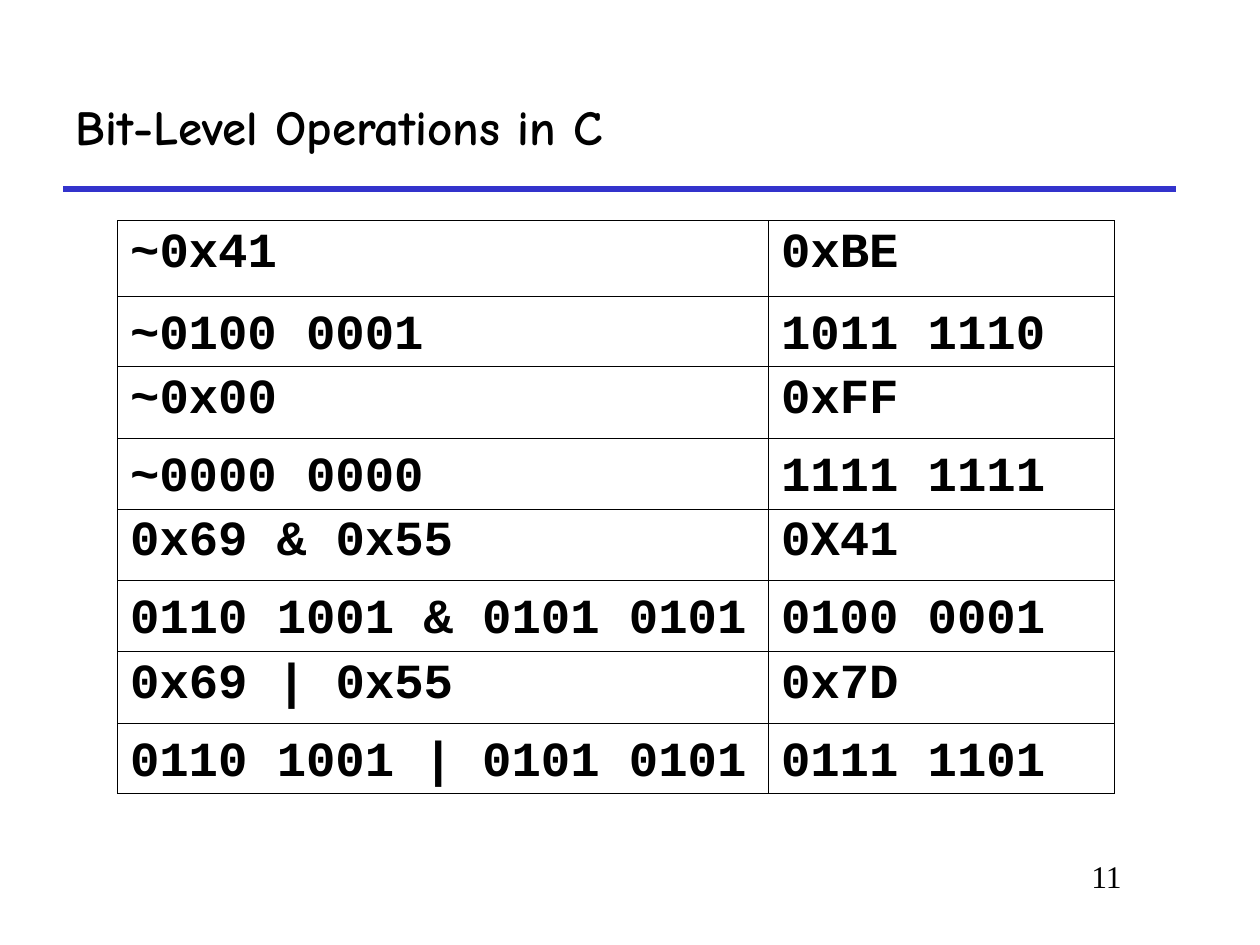
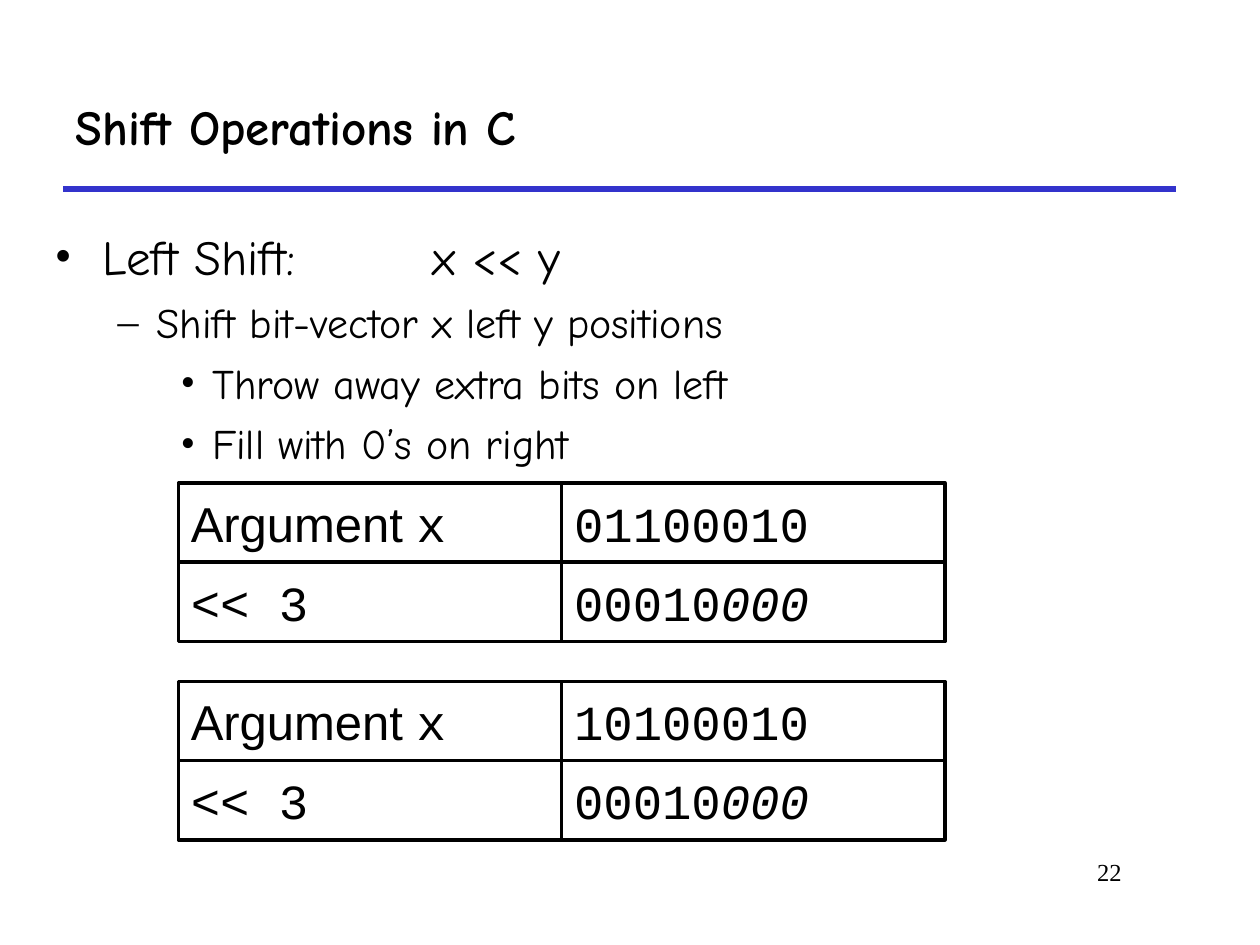
from dataclasses import dataclass

from lxml import etree
from pptx import Presentation
from pptx import util as u
from pptx.dml.color import RGBColor
from pptx.enum import shapes, text
from pptx.oxml import ns


@dataclass(frozen=True)
class Theme:
    ink: str = "000000"
    paper: str = "FFFFFF"
    rule: str = "3333CC"
    heading_font: str = "Comic Neue"
    code_font: str = "Courier New"
    label_font: str = "Arial"
    number_font: str = "Times New Roman"
    large: int = 28
    medium: int = 24
    rule_width: float = 3
    box_line: float = 2
    cell_line: float = 0.45


COLUMNS, ROWS = 120, 90
TITLE_ONLY, TITLE_AND_BODY = 5, 1
LEVELS = [("•", 0.38, 0.38, 7), ("–", 0.81, 0.31, 6), ("•", 1.25, 0.25, 6)]


def add_xml(parent, tag, **attributes):
    return etree.SubElement(parent, ns.qn(tag), attributes)


class Deck:
    def __init__(self, theme):
        self.theme = theme
        self.presentation = Presentation()
        self.presentation.slide_width = u.Inches(10)
        self.presentation.slide_height = u.Inches(7.5)
        self.slide = None

    def x(self, columns):
        return round(self.presentation.slide_width * columns / COLUMNS)

    def y(self, rows):
        return round(self.presentation.slide_height * rows / ROWS)

    def area(self, column, row, width, height):
        return self.x(column), self.y(row), self.x(width), self.y(height)

    def place(self, shape, *area):
        shape.left, shape.top, shape.width, shape.height = self.area(*area)

    def format_run(self, run, font, size, bold=False, italic=False):
        run.font.name = font
        run.font.size = u.Pt(size)
        run.font.bold = bold
        run.font.italic = italic
        run.font.color.rgb = RGBColor.from_string(self.theme.ink)

    def format_paragraph(self, paragraph, font, size, bold=False):
        paragraph.alignment = text.PP_ALIGN.LEFT
        for run in paragraph.runs:
            self.format_run(run, font, size, bold)

    def indent(self, paragraph, margin, hanging, before):
        paragraph.space_before = u.Pt(before)
        properties = paragraph._p.get_or_add_pPr()
        properties.set("marL", str(u.Inches(margin)))
        properties.set("indent", str(-u.Inches(hanging)))
        return properties

    def add_slide(self, layout, title, number, number_size):
        self.slide = self.presentation.slides.add_slide(
            self.presentation.slide_layouts[layout])
        self.add_rule()
        self.add_number(number, number_size)
        shape = self.slide.shapes.title
        self.place(shape, 6, 6, 106, 12)
        frame = shape.text_frame
        frame.text = title
        frame.auto_size = text.MSO_AUTO_SIZE.NONE
        frame.vertical_anchor = text.MSO_ANCHOR.MIDDLE
        self.format_paragraph(frame.paragraphs[0], self.theme.heading_font,
                              self.theme.large, bold=True)

    def add_rule(self):
        rule = self.slide.shapes.add_connector(
            shapes.MSO_CONNECTOR.STRAIGHT,
            self.x(6), self.y(18), self.x(112), self.y(18))
        rule.line.color.rgb = RGBColor.from_string(self.theme.rule)
        rule.line.width = u.Pt(self.theme.rule_width)
        add_xml(rule._element.spPr, "a:effectLst")

    def add_text(self, content, area, font, size, bold=False):
        frame = self.slide.shapes.add_textbox(*self.area(*area)).text_frame
        frame.word_wrap = True
        frame.text = content
        self.format_paragraph(frame.paragraphs[0], font, size, bold)
        return frame

    def add_number(self, number, size):
        frame = self.add_text(number, (91, 81, 17, 6),
                              self.theme.number_font, size)
        frame.paragraphs[0].alignment = text.PP_ALIGN.RIGHT

    def add_code(self, content, *area):
        frame = self.add_text(content, area, self.theme.code_font,
                              self.theme.large, bold=True)
        frame.auto_size = text.MSO_AUTO_SIZE.SHAPE_TO_FIT_TEXT

    def add_list(self, items, area, tab):
        body = self.slide.placeholders[1]
        self.place(body, *area)
        frame = body.text_frame
        frame.text = "\n".join(content for level, content in items)
        frame.auto_size = text.MSO_AUTO_SIZE.NONE
        for paragraph, (level, content) in zip(frame.paragraphs, items):
            paragraph.level = level
            size = self.theme.medium if level else self.theme.large
            self.format_paragraph(paragraph, self.theme.heading_font, size)
            mark, margin, hanging, before = LEVELS[level]
            properties = self.indent(paragraph, margin, hanging, before)
            colour = add_xml(properties, "a:buClr")
            add_xml(colour, "a:srgbClr", val=self.theme.ink)
            add_xml(properties, "a:buFont", typeface=self.theme.number_font)
            add_xml(properties, "a:buChar", char=mark)
            if "\t" in content:
                tabs = add_xml(properties, "a:tabLst")
                add_xml(tabs, "a:tab", pos=str(u.Inches(tab)), algn="l")

    def add_table(self, rows, column, row, widths, heights):
        table = self.slide.shapes.add_table(
            len(heights), len(widths),
            *self.area(column, row, sum(widths), sum(heights))).table
        table.first_row = table.horz_banding = False
        for table_column, width in zip(table.columns, widths):
            table_column.width = self.x(width)
        for table_row, height in zip(table.rows, heights):
            table_row.height = self.y(height)
        for cell in table.iter_cells():
            self.format_cell(cell)
        for row_index, values in rows.items():
            for column_index, value in enumerate(values):
                cell = table.cell(row_index, column_index)
                cell.text_frame.text = value
                paragraph = cell.text_frame.paragraphs[0]
                self.format_paragraph(paragraph, self.theme.code_font,
                                      self.theme.large, bold=True)
                self.indent(paragraph, 0.31, 0.31, 7)

    def format_cell(self, cell):
        properties = cell._tc.get_or_add_tcPr()
        for side in ("a:lnL", "a:lnR", "a:lnT", "a:lnB"):
            line = add_xml(properties, side,
                           w=str(u.Pt(self.theme.cell_line)))
            fill = add_xml(line, "a:solidFill")
            add_xml(fill, "a:srgbClr", val=self.theme.ink)
        cell.fill.background()

    def add_box(self, group, pieces, *area):
        box = group.shapes.add_shape(shapes.MSO_SHAPE.RECTANGLE,
                                     *self.area(*area))
        box.shadow.inherit = False
        box.fill.solid()
        box.fill.fore_color.rgb = RGBColor.from_string(self.theme.paper)
        box.line.color.rgb = RGBColor.from_string(self.theme.ink)
        box.line.width = u.Pt(self.theme.box_line)
        frame = box.text_frame
        frame.word_wrap = False
        frame.vertical_anchor = text.MSO_ANCHOR.MIDDLE
        paragraph = frame.paragraphs[0]
        paragraph.alignment = text.PP_ALIGN.LEFT
        for content, font, italic in pieces:
            run = paragraph.add_run()
            run.text = content
            self.format_run(run, font, self.theme.large, italic=italic)

    def add_shift(self, argument, kept, filled, column, row):
        code = self.theme.code_font
        width, height = 36.5, 7.55
        group = self.slide.shapes.add_group_shape()
        grid = [
            [[("Argument ", self.theme.label_font, False), ("x", code, False)],
             [(argument, code, False)]],
            [[("<< 3", code, False)],
             [(kept, code, False), (filled, code, True)]],
        ]
        for row_index, boxes in enumerate(grid):
            for column_index, pieces in enumerate(boxes):
                self.add_box(group, pieces, column + column_index * width,
                             row + row_index * height, width, height)


deck = Deck(Theme())

deck.add_slide(TITLE_ONLY, "Bit-Level Operations in C", "11", 18)
hex_rows = [("~0x41", "0xBE"), ("~0x00", "0xFF"),
            ("0x69 & 0x55", "0X41"), ("0x69 | 0x55", "0x7D")]
bit_rows = [("~0100 0001", "1011 1110"), ("~0000 0000", "1111 1111"),
            ("0110 1001 & 0101 0101", "0100 0001"),
            ("0110 1001 | 0101 0101", "0111 1101")]
deck.add_table({2 * index: values for index, values in enumerate(hex_rows)},
               11.2, 21, [62, 32.9], [7.2, 6.72] + [6.84, 6.72] * 3)
for index, (expression, result) in enumerate(bit_rows):
    top = 28 + 13.56 * index
    deck.add_code(expression, 11.2, top, 64 if index > 1 else 32, 6.84)
    deck.add_code(result, 73.2, top, 32, 6.84)

deck.add_slide(TITLE_AND_BODY, "Shift Operations in C", "22", 14)
deck.add_list([(0, "Left Shift: \tx << y"),
               (1, "Shift bit-vector x left y positions"),
               (2, "Throw away extra bits on left"),
               (2, "Fill with 0’s on right")], (4, 21, 77, 58), tab=3)
for argument, top in (("01100010", 46), ("10100010", 64.9)):
    deck.add_shift(argument, "00010", "000", 17, top)

deck.presentation.save("out.pptx")
